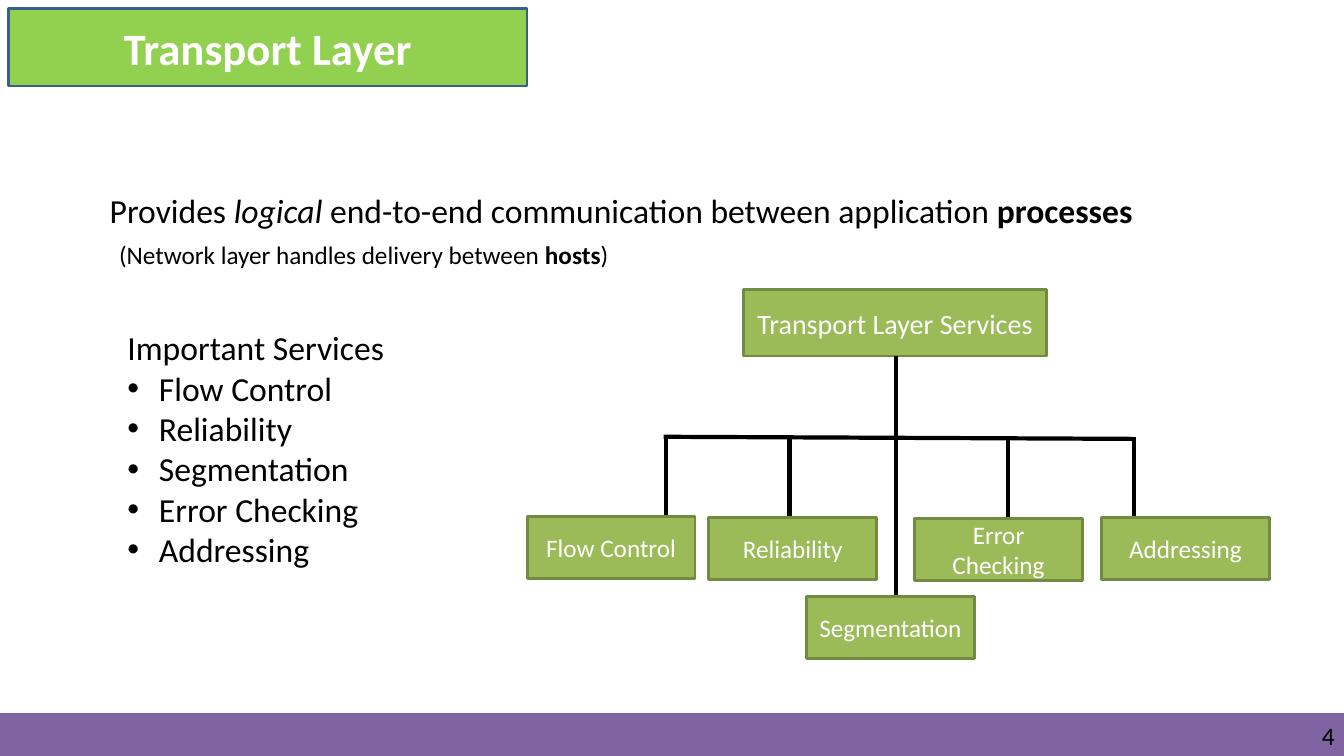
from lxml.etree import SubElement
from pptx import Presentation
from pptx.dml.color import RGBColor
from pptx.enum.shapes import MSO_CONNECTOR, MSO_SHAPE
from pptx.enum.text import MSO_ANCHOR, PP_ALIGN
from pptx.oxml.ns import qn
from pptx.util import Pt

EMU_PER_PX = 9525
FONT = "Calibri"
WHITE = RGBColor(0xFF, 0xFF, 0xFF)
BLACK = RGBColor(0x00, 0x00, 0x00)
PURPLE = RGBColor(0x80, 0x64, 0xA2)
LIME = RGBColor(0x92, 0xD0, 0x50)
NAVY = RGBColor(0x3A, 0x5F, 0x8C)
GREEN = RGBColor(0x9B, 0xBB, 0x59)
DARK_GREEN = RGBColor(0x73, 0x8A, 0x42)

SERVICE_WIDTH, SERVICE_HEIGHT = 160, 59
TRUNK_X = 853
# service, box left, box top, stem x, stem top
SERVICES = [
    ("Flow Control", 502, 492, 634, 416),
    ("Reliability", 675, 493, 752, 417),
    ("Segmentation", 768, 568, TRUNK_X, 408),
    ("Error Checking", 871, 494, 960, 418),
    ("Addressing", 1049, 493, 1080, 416),
]


def px(*lengths):
    return [length * EMU_PER_PX for length in lengths]


def style_run(run, size, color, bold=False, italic=False):
    run.font.name = FONT
    run.font.size = Pt(size)
    run.font.color.rgb = color
    run.font.bold = bold
    run.font.italic = italic


def add_box(slide, left, top, width, height, fill, outline, line_width=2):
    box = slide.shapes.add_shape(MSO_SHAPE.RECTANGLE, *px(left, top, width, height))
    box.shadow.inherit = False
    box.fill.solid()
    box.fill.fore_color.rgb = fill
    box.line.color.rgb = outline
    box.line.width = Pt(line_width)
    return box


def label_box(box, label, size, bold=False):
    frame = box.text_frame
    frame.text = label
    frame.word_wrap = True
    frame.vertical_anchor = MSO_ANCHOR.MIDDLE
    paragraph = frame.paragraphs[0]
    paragraph.alignment = PP_ALIGN.CENTER
    style_run(paragraph.runs[0], size, WHITE, bold)


def add_text_frame(slide, left, top, width, height):
    frame = slide.shapes.add_textbox(*px(left, top, width, height)).text_frame
    frame.word_wrap = True
    return frame


def add_sentence(slide, bounds, size, parts):
    """Add one line of text from (text, bold, italic) parts."""
    paragraph = add_text_frame(slide, *bounds).paragraphs[0]
    for text, bold, italic in parts:
        run = paragraph.add_run()
        run.text = text
        style_run(run, size, BLACK, bold, italic)


def add_bullet(paragraph, indent):
    properties = paragraph._p.get_or_add_pPr()
    properties.set("marL", str(indent * EMU_PER_PX))
    properties.set("indent", str(-indent * EMU_PER_PX))
    SubElement(properties, qn("a:buFont"), typeface="Arial")
    SubElement(properties, qn("a:buChar"), char="•")


def add_service_list(slide):
    frame = add_text_frame(slide, 112, 307, 289, 242)
    frame.text = "\n".join(["Important Services"] + [service[0] for service in SERVICES])
    for paragraph in frame.paragraphs[1:]:
        add_bullet(paragraph, 30)
    for paragraph in frame.paragraphs:
        style_run(paragraph.runs[0], 24, BLACK)


def add_line(slide, x1, y1, x2, y2):
    line = slide.shapes.add_connector(MSO_CONNECTOR.STRAIGHT, *px(x1, y1, x2, y2))
    line.line.color.rgb = BLACK
    line.line.width = Pt(3)
    SubElement(line._element.spPr, qn("a:effectLst"))


def add_service_tree(slide):
    root = add_box(slide, 708, 276, 289, 63, GREEN, DARK_GREEN)
    label_box(root, "Transport Layer Services", 20)
    add_line(slide, TRUNK_X, 339, TRUNK_X, 416)
    add_line(slide, 1080, 418, 632, 416)
    for service, left, top, stem_x, stem_top in SERVICES:
        add_line(slide, stem_x, stem_top, stem_x, top)
        box = add_box(slide, left, top, SERVICE_WIDTH, SERVICE_HEIGHT, GREEN, DARK_GREEN)
        label_box(box, service, 18)


def add_footer(slide, number):
    add_box(slide, 0, 680, 1280, 40, PURPLE, PURPLE, 1)
    frame = add_text_frame(slide, 976, 686, 295, 29)
    frame.margin_left = frame.margin_top = frame.margin_right = frame.margin_bottom = 0
    frame.text = number
    frame.paragraphs[0].alignment = PP_ALIGN.RIGHT
    style_run(frame.paragraphs[0].runs[0], 18, BLACK)


def main():
    presentation = Presentation()
    presentation.slide_width, presentation.slide_height = px(1280, 720)
    slide = presentation.slides.add_slide(presentation.slide_layouts[6])

    add_footer(slide, "4")
    title = add_box(slide, 8, 8, 494, 74, LIME, NAVY)
    label_box(title, "Transport Layer", 32, bold=True)
    add_sentence(slide, (95, 176, 1102, 48), 24, [
        ("Provides ", False, False),
        ("logical", False, True),
        (" end-to-end communication between application ", False, False),
        ("processes", True, False),
    ])
    add_sentence(slide, (104, 223, 535, 38), 18, [
        ("(Network layer handles delivery between ", False, False),
        ("hosts", True, False),
        (")", False, False),
    ])
    add_service_list(slide)
    add_service_tree(slide)
    presentation.save("out.pptx")


if __name__ == "__main__":
    main()
